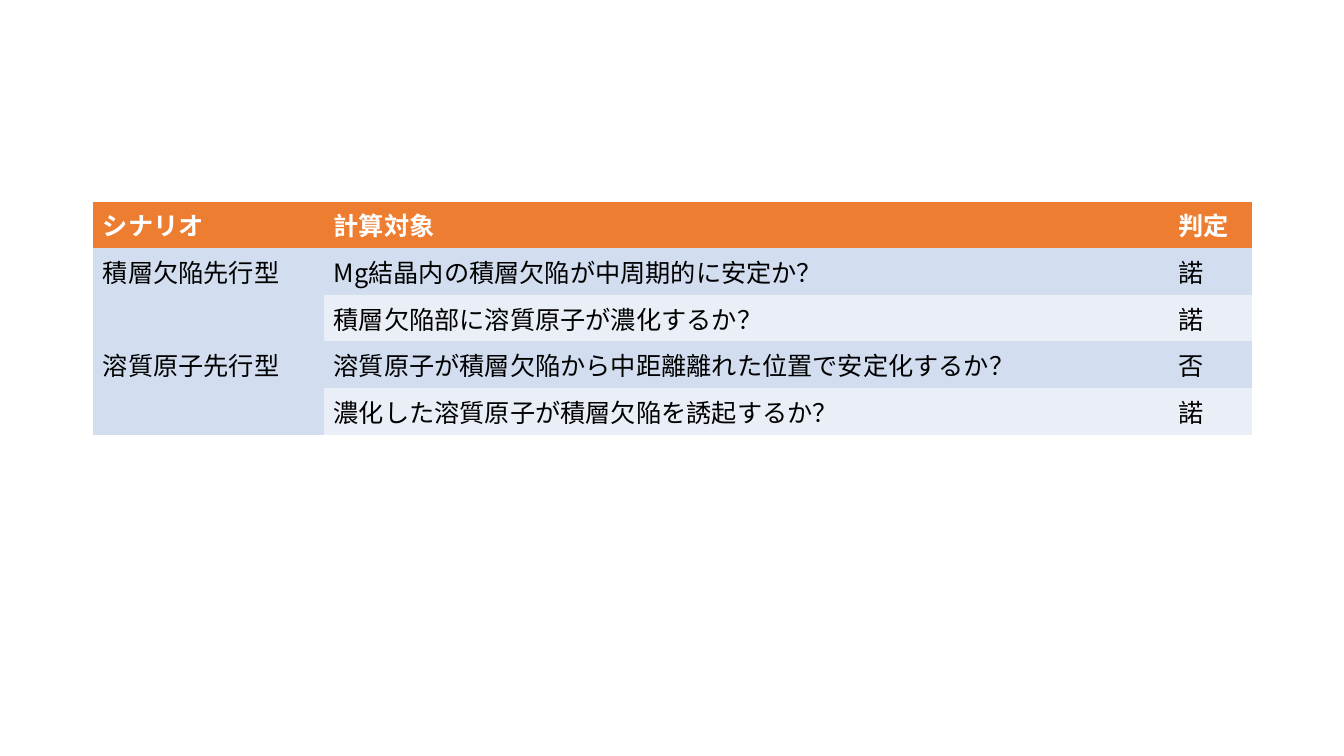
from lxml import etree
from pptx import Presentation
from pptx.dml.color import RGBColor
from pptx.oxml.ns import qn
from pptx.util import Inches, Pt

FACE = "Noto Sans CJK JP"
PLAIN = "{2D5ABB26-0587-4C30-8999-92F81FD0307C}"
HEAD, BANDS = "ED7D31", ("D2DEEF", "EAEFF7")
WIDTHS = (2.29, 8.38, 0.83)
ROW = 0.41
TITLES = ("シナリオ", "計算対象", "判定")
CASES = {
    "積層欠陥先行型": (
        ("Mg結晶内の積層欠陥が中周期的に安定か？", "諾"),
        ("積層欠陥部に溶質原子が濃化するか？", "諾"),
    ),
    "溶質原子先行型": (
        ("溶質原子が積層欠陥から中距離離れた位置で安定化するか？", "否"),
        ("濃化した溶質原子が積層欠陥を誘起するか？", "諾"),
    ),
}


def tint(code):
    return RGBColor.from_string(code)


class Sheet:
    """Hold the text style and the current slide."""

    def __init__(self, deck):
        self.slide = deck.slides.add_slide(deck.slide_layouts[6])
        self.style = {"name": FACE, "size": Pt(18)}

    def cell(self, cell, text, fill, color="000000", bold=False):
        cell.fill.solid()
        cell.fill.fore_color.rgb = tint(fill)
        if not text:
            return
        run = cell.text_frame.paragraphs[0].add_run()
        run.text = text
        for key, value in {**self.style, "bold": bold}.items():
            setattr(run.font, key, value)
        run.font.color.rgb = tint(color)
        props = run._r.get_or_add_rPr()
        etree.SubElement(props, qn("a:ea"), typeface=FACE)

    def table(self, left, top, widths, titles, cases):
        count = 1 + sum(len(checks) for checks in cases.values())
        frame = self.slide.shapes.add_table(
            count, len(widths), Inches(left), Inches(top),
            Inches(sum(widths)), Inches(ROW * count))
        next(frame.element.iter(qn("a:tableStyleId"))).text = PLAIN
        table = frame.table
        for column, width in zip(table.columns, widths):
            column.width = Inches(width)
        for row in table.rows:
            row.height = Inches(ROW)
        for col, title in enumerate(titles):
            self.cell(table.cell(0, col), title, HEAD, "FFFFFF", True)
        row = 1
        for case, checks in cases.items():
            first = row
            for check in checks:
                label = case if row == first else ""
                fill = BANDS[(row - 1) % 2]
                for col, text in enumerate((label, *check)):
                    self.cell(table.cell(row, col), text, fill)
                row += 1
            table.cell(first, 0).merge(table.cell(row - 1, 0))


deck = Presentation()
deck.slide_width, deck.slide_height = Inches(13.33), Inches(7.5)
Sheet(deck).table(0.92, 2, WIDTHS, TITLES, CASES)
deck.save("out.pptx")
